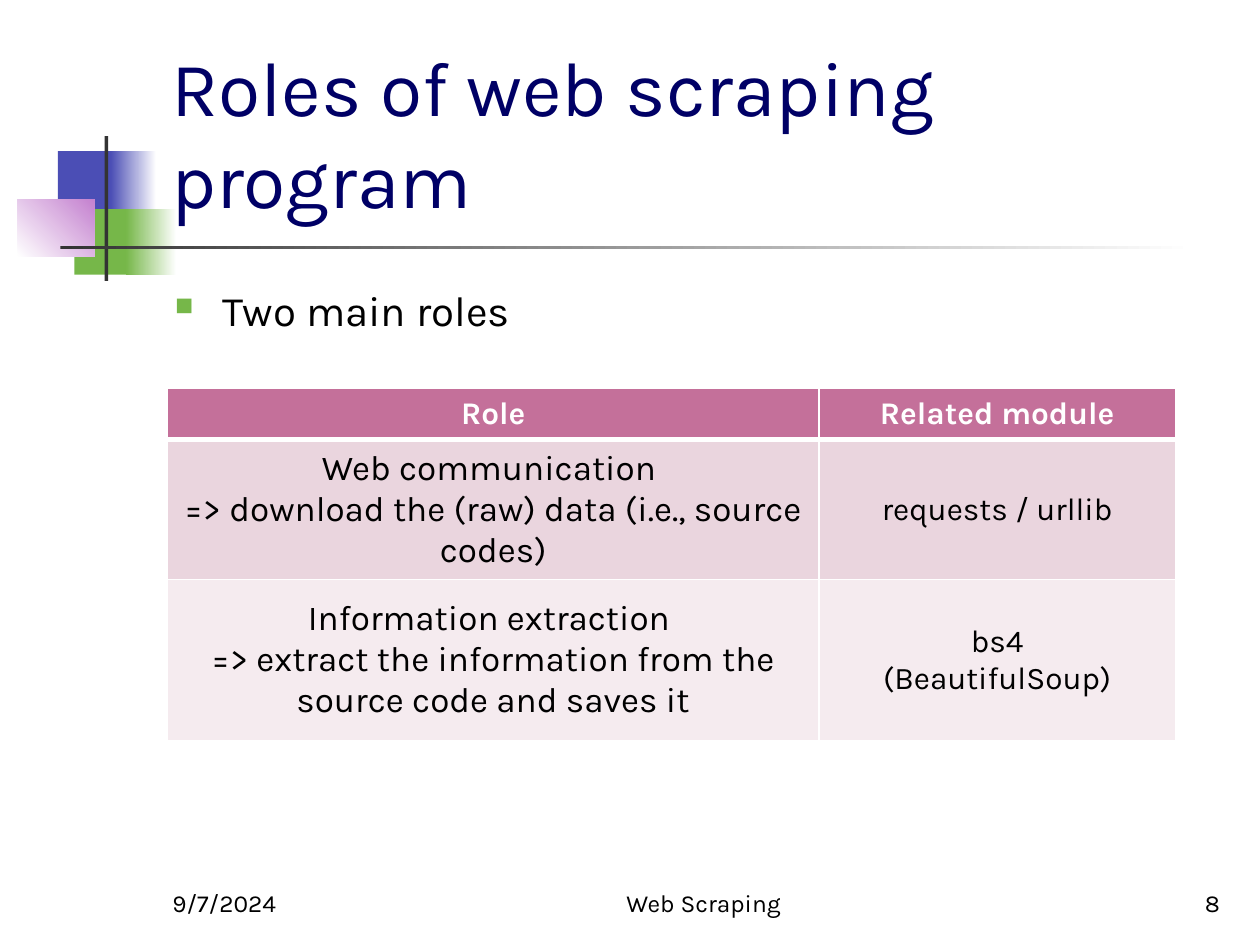
from dataclasses import dataclass

from lxml import etree
from pptx import Presentation
from pptx import util as u
from pptx.dml.color import RGBColor
from pptx.enum import shapes, text
from pptx.oxml import ns

In = u.Inches
Al = text.PP_ALIGN
Anc = text.MSO_ANCHOR


@dataclass(frozen=True)
class Theme:
    font: str = "Karla"
    navy: str = "000066"
    black: str = "000000"
    white: str = "FFFFFF"
    dark: str = "333333"
    blue: str = "4B4EB5"
    green: str = "76B749"
    pink: str = "C481CF"
    head: str = "C4709A"
    bands: tuple = ("EAD5DE", "F5EBEF")
    title: int = 44
    body: int = 24
    role: int = 20
    cell: int = 18
    foot: int = 14


T = Theme()


def rgb(code):
    return RGBColor.from_string(code)


def node(up, tag, **attrs):
    return etree.SubElement(up, ns.qn(tag), attrs)


def style(frame, size, color, align=Al.LEFT, bold=False):
    for para in frame.paragraphs:
        para.alignment = align
        for run in para.runs:
            font = run.font
            font.name, font.size, font.bold = T.font, u.Pt(size), bold
            font.color.rgb = rgb(color)


def add_text(slide, box, words, size, color, align=Al.LEFT, anchor=Anc.BOTTOM):
    frame = slide.shapes.add_textbox(*map(In, box)).text_frame
    frame.word_wrap = True
    frame.vertical_anchor = anchor
    frame.text = words
    style(frame, size, color, align)
    return frame


def add_block(slide, box, start, end=None, angle=0):
    """Rectangle without outline; a second colour makes it a gradient."""
    rect = slide.shapes.add_shape(shapes.MSO_SHAPE.RECTANGLE, *map(In, box))
    rect.shadow.inherit = False
    rect.line.fill.background()
    fill = rect.fill
    if end is None:
        fill.solid()
        fill.fore_color.rgb = rgb(start)
        return
    fill.gradient()
    fill.gradient_angle = angle
    for stop, place, color in zip(fill.gradient_stops, (0, 1), (start, end)):
        stop.position = place
        stop.color.rgb = rgb(color)


def add_bullet(para):
    para.space_before = u.Pt(5)
    props = para._p.get_or_add_pPr()
    props.set("marL", str(In(0.38)))
    props.set("indent", str(-In(0.38)))
    node(node(props, "a:buClr"), "a:srgbClr", val=T.green)
    node(props, "a:buSzPct", val="60000")
    node(props, "a:buChar", char="■")


def set_edges(cell, low):
    """White borders, with the bottom one low points wide."""
    props = cell._tc.get_or_add_tcPr()
    for side, width in zip("LRTB", (1, 1, 1, low)):
        line = node(props, f"a:ln{side}", w=str(u.Pt(width)))
        node(node(line, "a:solidFill"), "a:srgbClr", val=T.white)


def fill_cell(cell, words, size, color, back, bold=False, low=1):
    set_edges(cell, low)
    cell.fill.solid()
    cell.fill.fore_color.rgb = rgb(back)
    cell.vertical_anchor = Anc.MIDDLE
    cell.text_frame.text = words
    style(cell.text_frame, size, color, Al.CENTER, bold)


def add_roles(slide):
    head = ("Role", "Related module")
    rows = (
        ("Web communication \v=> download the (raw) data (i.e., source codes)",
         "requests / urllib"),
        ("Information extraction \v=> extract the information from the "
         "source code and saves it",
         "bs4\n(BeautifulSoup)"),
    )
    box = map(In, (1.33, 3.08, 8, 2.8))
    table = slide.shapes.add_table(len(rows) + 1, len(head), *box).table
    for col, width in zip(table.columns, (5.17, 2.83)):
        col.width = In(width)
    for row, height in zip(table.rows, (0.41, 1.11, 1.28)):
        row.height = In(height)
    for c, words in enumerate(head):
        fill_cell(table.cell(0, c), words, T.cell, T.white, T.head, True, 3)
    for r, (row, band) in enumerate(zip(rows, T.bands), 1):
        for c, (words, size) in enumerate(zip(row, (T.role, T.cell))):
            fill_cell(table.cell(r, c), words, size, T.black, band)


def add_decor(slide):
    add_block(slide, (0.46, 1.2, 0.48, 0.52), T.blue)
    add_block(slide, (0.88, 1.2, 0.36, 0.52), T.blue, T.white)
    add_block(slide, (0.59, 1.66, 0.46, 0.52), T.green)
    add_block(slide, (1, 1.66, 0.4, 0.52), T.green, T.white)
    add_block(slide, (0.14, 1.58, 0.61, 0.46), T.white, T.pink, 45)
    add_block(slide, (0.83, 1.08, 0.03, 1.15), T.dark)
    add_block(slide, (0.48, 1.95, 9, 0.03), T.dark, T.white)


def add_footer(slide):
    for left, width, words, align in (
        (1.27, 2.08, "9/7/2024", Al.LEFT),
        (4, 3.17, "Web Scraping", Al.CENTER),
        (7.7, 2.08, "8", Al.RIGHT),
    ):
        add_text(slide, (left, 6.83, width, 0.5), words, T.foot, T.black, align)


def main():
    deck = Presentation()
    deck.slide_width, deck.slide_height = In(10), In(7.5)
    slide = deck.slides.add_slide(deck.slide_layouts[6])
    add_decor(slide)
    add_text(slide, (1.26, 0.23, 8.52, 1.6), "Roles of web scraping program",
             T.title, T.navy)
    body = add_text(slide, (1.29, 2.21, 8.5, 4.5), "Two main roles",
                    T.body, T.black, anchor=Anc.TOP)
    add_bullet(body.paragraphs[0])
    add_roles(slide)
    add_footer(slide)
    deck.save("out.pptx")


if __name__ == "__main__":
    main()
